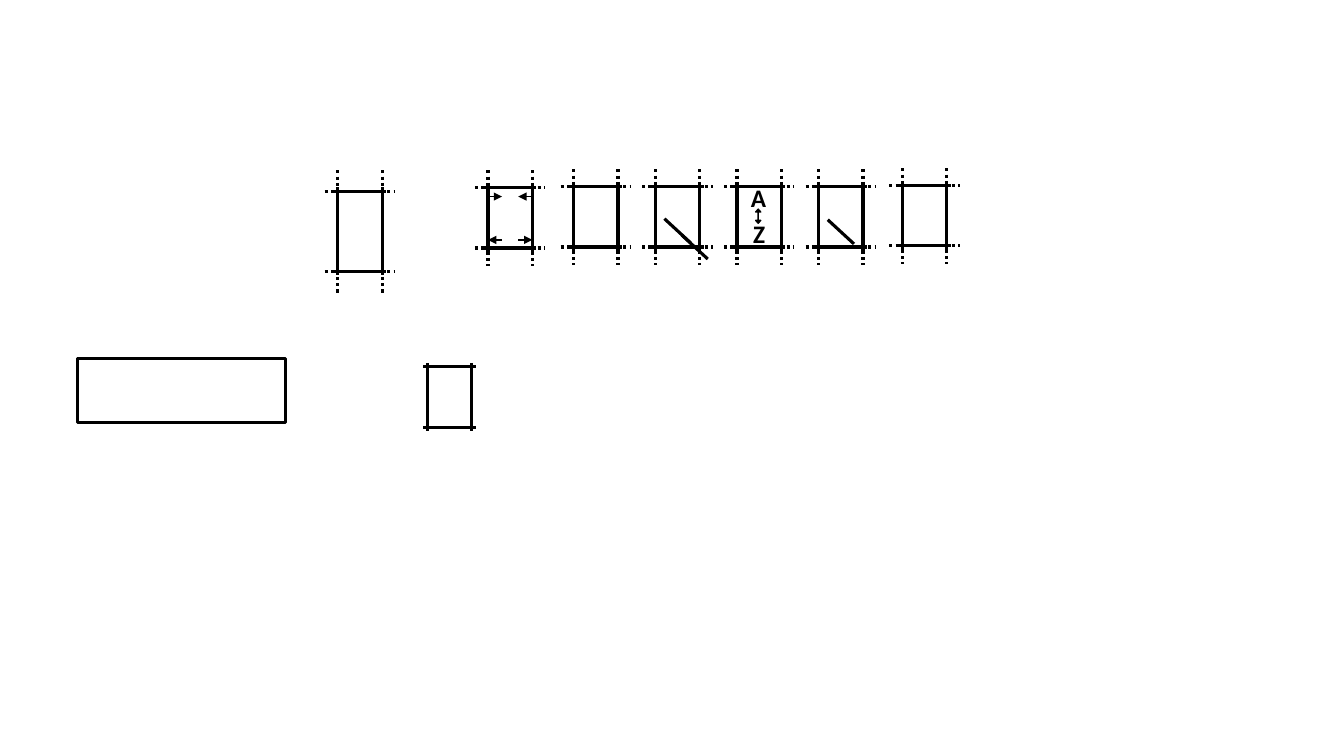
from lxml import etree
from pptx import Presentation
from pptx import util as u
from pptx.dml.color import RGBColor
from pptx.enum import dml, shapes, text
from pptx.oxml.ns import qn

BLACK = RGBColor(0x00, 0x00, 0x00)
FONT = "Calibri"
CELL_W, CELL_H = 0.44, 0.6
OVERHANG = 0.04
DOTTED_SIDE, DOTTED_TOP, DOTTED_BOTTOM = 0.13, 0.17, 0.18


def add_line(parent, x1, y1, x2, y2, width=2.25, dotted=False, arrow=False):
    line = parent.add_connector(shapes.MSO_CONNECTOR.STRAIGHT, u.Inches(x1),
                                u.Inches(y1), u.Inches(x2), u.Inches(y2))
    line.line.color.rgb = BLACK
    line.line.width = u.Pt(width)
    if dotted:
        line.line.dash_style = dml.MSO_LINE.ROUND_DOT
    if arrow:
        ln = line.line._get_or_add_ln()
        etree.SubElement(ln, qn("a:tailEnd"), type="triangle")
    etree.SubElement(line._element.spPr, qn("a:effectLst"))
    return line


def cell_edges(parent, x, y, w, h, side, top, bottom, dotted=False):
    """Four edges of a cell, each running past the corners."""
    for edge_y in (y, y + h):
        add_line(parent, x - side, edge_y, x + w + side, edge_y, dotted=dotted)
    for edge_x in (x, x + w):
        add_line(parent, edge_x, y - top, edge_x, y + h + bottom, dotted=dotted)


def table_cell(parent, x, y, w=CELL_W, h=CELL_H, top=DOTTED_TOP,
               bottom=DOTTED_BOTTOM):
    """A solid cell whose borders go on as dotted lines."""
    cell_edges(parent, x, y, w, h, DOTTED_SIDE, top, bottom, dotted=True)
    cell_edges(parent, x, y, w, h, OVERHANG, OVERHANG, OVERHANG)


def width_arrows(parent, x, y):
    """Arrows pointing inwards at the top and outwards at the bottom."""
    length, right = 0.14, x + CELL_W
    for start, end, dy in ((x, x + length, 0.09),
                           (right, right - length, 0.09),
                           (x + length, x, 0.52),
                           (right - length, right, 0.52)):
        add_line(parent, start, y + dy, end, y + dy, width=1, arrow=True)


def diagonal(parent, x, y):
    add_line(parent, x, y, x + 0.26, y + 0.24)


def letter(parent, char, x, y, w):
    box = parent.add_textbox(u.Inches(x), u.Inches(y), u.Inches(w), u.Inches(0.4))
    tf = box.text_frame
    tf.word_wrap = False
    tf.auto_size = text.MSO_AUTO_SIZE.SHAPE_TO_FIT_TEXT
    r = tf.paragraphs[0].add_run()
    r.text = char
    r.font.name = FONT
    r.font.size = u.Pt(18)
    r.font.bold = True
    r.font.color.rgb = BLACK


def sort_mark(parent, x, y):
    """A over Z with a double arrow between them."""
    letter(parent, "A", x + 0.04, y - 0.09, 0.35)
    letter(parent, "Z", x + 0.06, y + 0.27, 0.32)
    sp = parent.add_shape(shapes.MSO_SHAPE.LEFT_RIGHT_ARROW,
                          u.Inches(x + 0.14), u.Inches(y + 0.27),
                          u.Inches(0.14), u.Inches(0.05))
    sp.adjustments[0], sp.adjustments[1] = 0.016, 0.57
    sp.rotation = 90
    sp.shadow.inherit = False
    sp.fill.solid()
    sp.fill.fore_color.rgb = BLACK
    sp.line.color.rgb = BLACK
    sp.line.width = u.Pt(1)


def icon_row(slide):
    """The six cell icons, with the marks some of them hold."""
    corners = ((4.84, 1.86), (5.69, 1.85), (6.5, 1.85),
               (7.31, 1.85), (8.12, 1.85), (8.95, 1.84))
    groups = []
    for x, y in corners:
        group = slide.shapes.add_group_shape().shapes
        table_cell(group, x, y)
        groups.append(group)
    width_arrows(groups[0], *corners[0])
    diagonal(groups[2], 6.59, 2.17)
    sort_mark(slide.shapes, *corners[3])
    diagonal(groups[4], 8.21, 2.18)


def wide_box(slide, x, y, w, h):
    sp = slide.shapes.add_shape(shapes.MSO_SHAPE.RECTANGLE, u.Inches(x),
                                u.Inches(y), u.Inches(w), u.Inches(h))
    sp.shadow.inherit = False
    sp.fill.background()
    sp.line.color.rgb = BLACK
    sp.line.width = u.Pt(2.25)


def main():
    prs = Presentation()
    prs.slide_width, prs.slide_height = u.Inches(13.33), u.Inches(7.5)
    slide = prs.slides.add_slide(prs.slide_layouts[6])
    table_cell(slide.shapes, 3.35, 1.9, h=0.79, top=0.21, bottom=0.24)
    icon_row(slide)
    wide_box(slide, 0.77, 3.56, 2.06, 0.63)
    plain_cell = slide.shapes.add_group_shape().shapes
    cell_edges(plain_cell, 4.24, 3.64, CELL_W, CELL_H,
               OVERHANG, OVERHANG, OVERHANG)
    diagonal(slide.shapes, 6.76, 2.33)
    prs.save("out.pptx")


if __name__ == "__main__":
    main()
